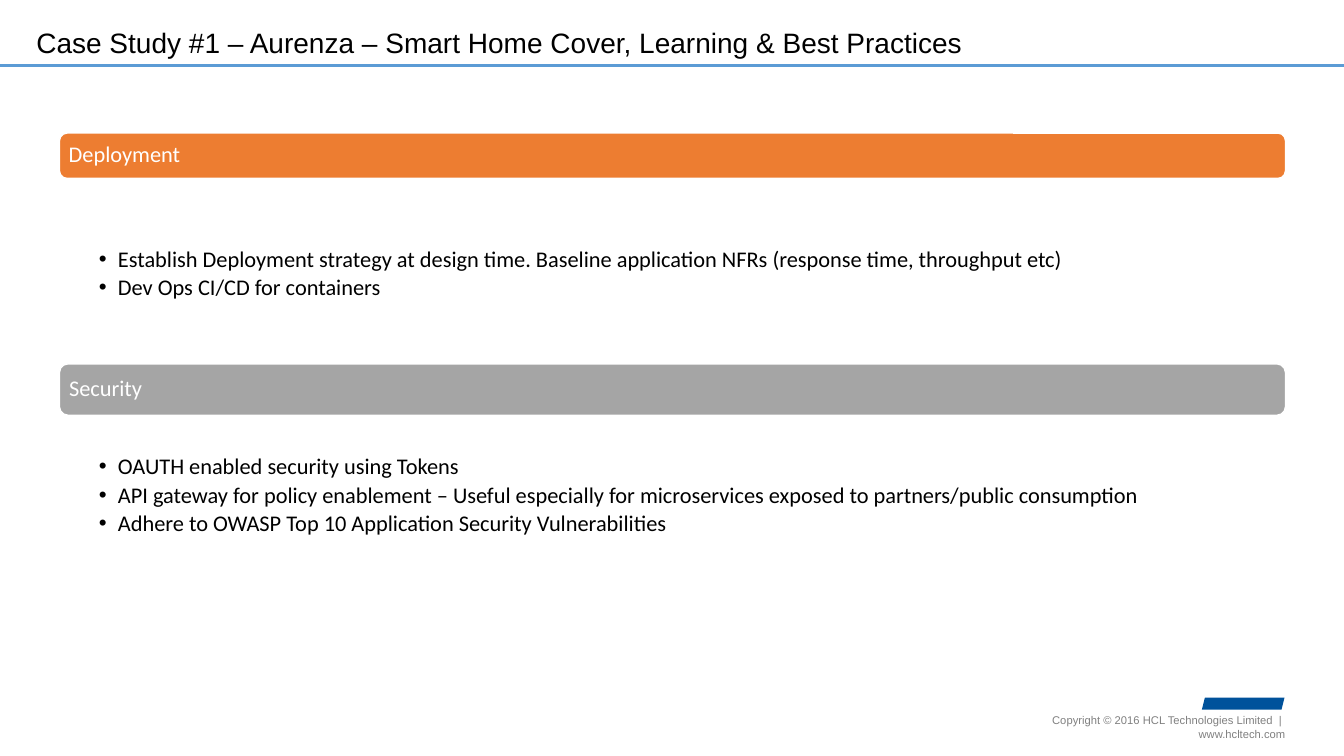
from lxml import etree
from pptx import Presentation
from pptx.dml.color import RGBColor
from pptx.enum.shapes import MSO_CONNECTOR, MSO_SHAPE
from pptx.enum.text import MSO_ANCHOR, MSO_AUTO_SIZE, PP_ALIGN
from pptx.oxml.ns import qn
from pptx.util import Inches, Pt

BLACK = RGBColor(0x00, 0x00, 0x00)
WHITE = RGBColor(0xFF, 0xFF, 0xFF)
GRAY = RGBColor(0x80, 0x80, 0x80)
RULE_BLUE = RGBColor(0x5B, 0x9B, 0xD5)
MARK_BLUE = RGBColor(0x00, 0x52, 0x9B)
ORANGE = RGBColor(0xED, 0x7D, 0x31)
SILVER = RGBColor(0xA5, 0xA5, 0xA5)

LEFT, WIDTH = Inches(0.59), Inches(12.16)

# Each section: heading, colour, bar top, bar height, list top, list height, bullets
SECTIONS = [
    ("Deployment", ORANGE, 1.32, 0.45, 2.44, 0.88, [
        "Establish Deployment strategy at design time. "
        "Baseline application NFRs (response time, throughput etc)",
        "Dev Ops CI/CD for containers",
    ]),
    ("Security", SILVER, 3.61, 0.51, 4.5, 1.16, [
        "OAUTH enabled security using Tokens",
        "API gateway for policy enablement – Useful especially for "
        "microservices exposed to partners/public consumption",
        "Adhere to OWASP Top 10 Application Security Vulnerabilities",
    ]),
]


def write(shape, lines, size=16, font="Calibri", color=BLACK, align=PP_ALIGN.LEFT,
          anchor=MSO_ANCHOR.TOP, insets=(0, 0, 0, 0), bullet=False, spacing=1.0):
    """Fill a shape with paragraphs; insets are left, top, right, bottom in inches."""
    frame = shape.text_frame
    frame.auto_size = MSO_AUTO_SIZE.NONE
    frame.word_wrap = True
    frame.vertical_anchor = anchor
    (frame.margin_left, frame.margin_top,
     frame.margin_right, frame.margin_bottom) = map(Inches, insets)
    for index, line in enumerate(lines):
        para = frame.add_paragraph() if index else frame.paragraphs[0]
        para.alignment = align
        para.line_spacing = spacing
        if bullet:
            para.space_after = Pt(3)
            properties = para._p.get_or_add_pPr()
            properties.set("marL", str(Inches(0.19)))
            properties.set("indent", str(-Inches(0.19)))
            etree.SubElement(properties, qn("a:buFont"), typeface="Arial")
            etree.SubElement(properties, qn("a:buChar"), char="•")
        span = para.add_run()
        span.text = line
        span.font.size = Pt(size)
        span.font.name = font
        span.font.color.rgb = color


deck = Presentation()
deck.slide_width, deck.slide_height = Inches(13.33), Inches(7.5)
page = deck.slides.add_slide(deck.slide_layouts[5])

# Title and rule
title = page.shapes.title
title.left, title.top = Inches(0.26), Inches(0.2)
title.width, title.height = Inches(12), Inches(0.44)
write(title, ["Case Study #1 – Aurenza – Smart Home Cover, Learning & Best Practices"],
      size=20, font="Arial", insets=(0.1, 0.05, 0.1, 0.05))

rule = page.shapes.add_connector(MSO_CONNECTOR.STRAIGHT, 0, Inches(0.65),
                                 deck.slide_width, Inches(0.65))
rule.line.color.rgb = RULE_BLUE
rule.line.width = Pt(2.25)
etree.SubElement(rule._element.spPr, qn("a:effectLst"))

# Sections
for heading, color, bar_top, bar_height, list_top, list_height, bullets in SECTIONS:
    bar = page.shapes.add_shape(MSO_SHAPE.ROUNDED_RECTANGLE, LEFT, Inches(bar_top),
                                WIDTH, Inches(bar_height))
    bar.shadow.inherit = False
    bar.fill.solid()
    bar.fill.fore_color.rgb = color
    bar.line.color.rgb = WHITE
    bar.line.width = Pt(1)
    write(bar, [heading], color=WHITE, anchor=MSO_ANCHOR.MIDDLE,
          insets=(0.07, 0.07, 0.07, 0.07), spacing=0.9)

    bullet_box = page.shapes.add_textbox(LEFT, Inches(list_top), WIDTH, Inches(list_height))
    write(bullet_box, bullets, insets=(0.39, 0.02, 0.12, 0.02), bullet=True, spacing=0.9)

# Footer
mark = page.shapes.add_shape(MSO_SHAPE.PARALLELOGRAM, Inches(11.92), Inches(6.92),
                             Inches(0.82), Inches(0.12))
mark.shadow.inherit = False
mark.fill.solid()
mark.fill.fore_color.rgb = MARK_BLUE
mark.line.fill.background()

copyright_box = page.shapes.add_textbox(Inches(9.77), Inches(7.08), Inches(2.98), Inches(0.26))
write(copyright_box, ["Copyright © 2016 HCL Technologies Limited  |  www.hcltech.com"],
      size=8, font="Arial", color=GRAY, align=PP_ALIGN.RIGHT)

deck.save("out.pptx")
